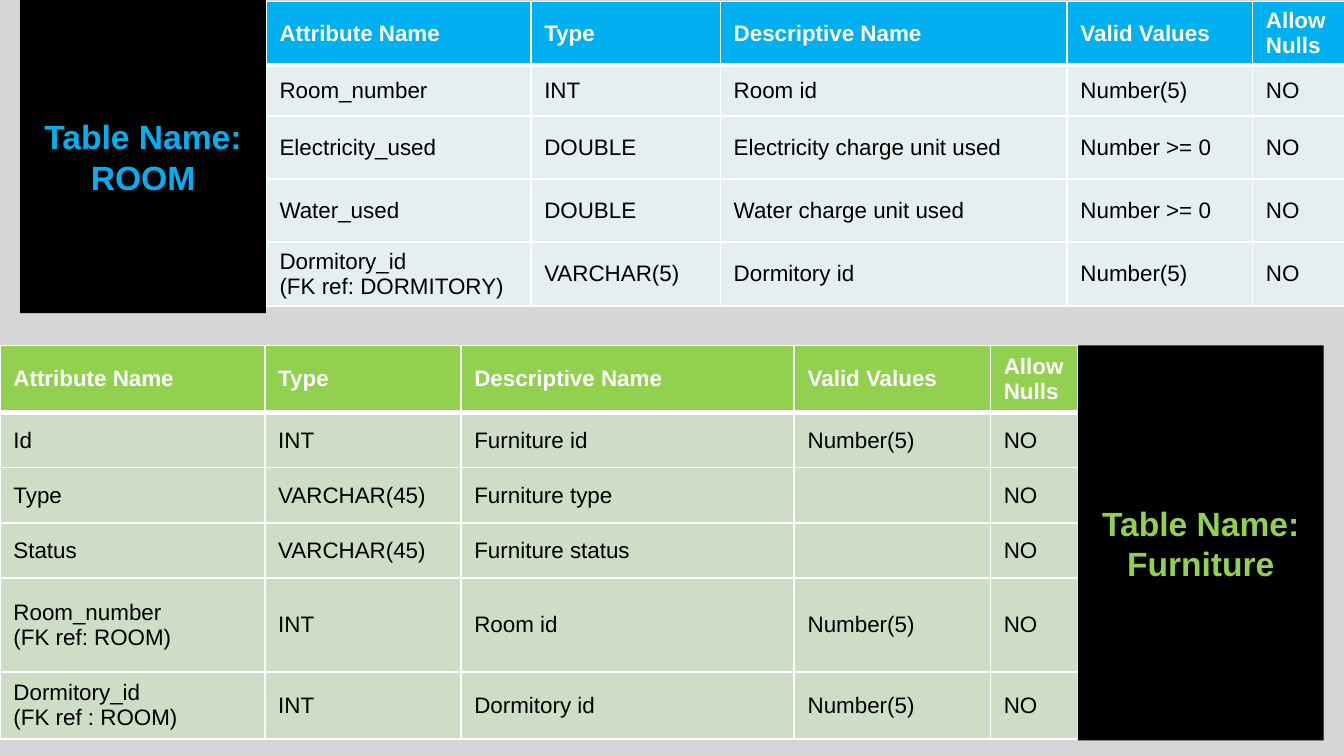
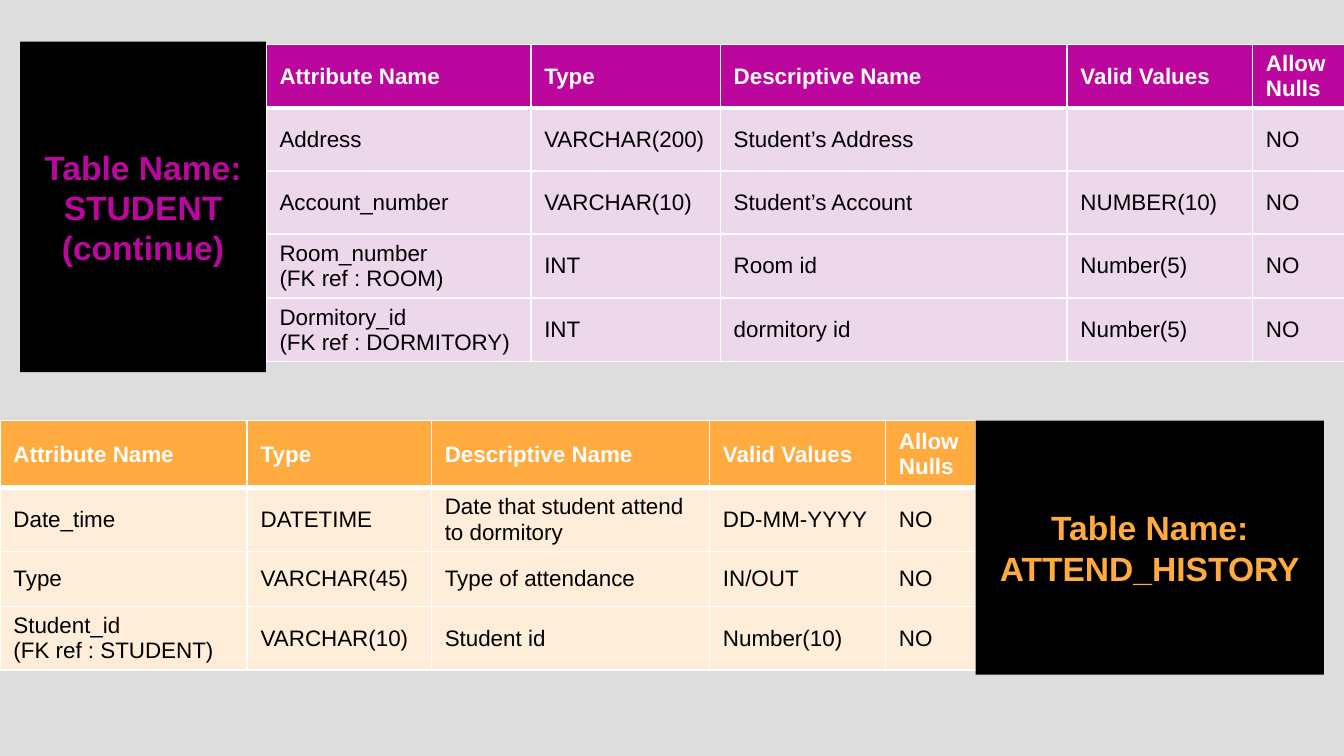
import pptx
import pptx.dml.color
import pptx.enum.shapes
import pptx.enum.text
import pptx.oxml
import pptx.oxml.ns
import pptx.util
from dataclasses import dataclass
from pptx.dml.color import RGBColor
from pptx.util import Inches

FONT = "Arial"
BLACK = RGBColor(0x00, 0x00, 0x00)
WHITE = RGBColor(0xFF, 0xFF, 0xFF)
GRAY = RGBColor(0xD6, 0xD6, 0xD6)
LIGHT_GRAY = RGBColor(0xDD, 0xDD, 0xDD)
BLUE = RGBColor(0x00, 0xB0, 0xF0)
PALE_BLUE = RGBColor(0xE6, 0xEF, 0xF0)
GREEN = RGBColor(0x92, 0xD0, 0x50)
PALE_GREEN = RGBColor(0xC3, 0xE8, 0xAD)
PURPLE = RGBColor(0xBC, 0x07, 0x9F)
PALE_PURPLE = RGBColor(0xFE, 0xD3, 0xF8)
ORANGE = RGBColor(0xFF, 0xAB, 0x40)
PALE_ORANGE = RGBColor(0xFE, 0xED, 0xD8)

HEADINGS = ("Attribute Name", "Type", "Descriptive Name", "Valid Values", "Allow Nulls")
LEFT_LABEL_COLUMNS = (1.97, 1.41, 2.58, 1.38, 0.69)
NULLS = "NO"  # every attribute is mandatory


@dataclass
class Entity:
    """One database table: its label text, colours, measures and attributes."""
    label: str
    accent: RGBColor
    tint: RGBColor
    columns: tuple
    heights: tuple
    attributes: tuple
    opacity: int = 100


ROOM = Entity(
    "Table Name: ROOM", BLUE, PALE_BLUE, LEFT_LABEL_COLUMNS,
    (0.47, 0.38, 0.47, 0.47, 0.47),
    (("Room_number", "INT", "Room id", "Number(5)"),
     ("Electricity_used", "DOUBLE", "Electricity charge unit used", "Number >= 0"),
     ("Water_used", "DOUBLE", "Water charge unit used", "Number >= 0"),
     ("Dormitory_id\n(FK ref: DORMITORY)", "VARCHAR(5)", "Dormitory id", "Number(5)")))

FURNITURE = Entity(
    "Table Name: Furniture", GREEN, PALE_GREEN, (1.97, 1.46, 2.48, 1.46, 0.65),
    (0.5, 0.41, 0.41, 0.41, 0.7, 0.5),
    (("Id", "INT", "Furniture id", "Number(5)"),
     ("Type", "VARCHAR(45)", "Furniture type", ""),
     ("Status", "VARCHAR(45)", "Furniture status", ""),
     ("Room_number\n(FK ref: ROOM)", "INT", "Room id", "Number(5)"),
     ("Dormitory_id\n(FK ref : ROOM)", "INT", "Dormitory id", "Number(5)")),
    opacity=40)

STUDENT = Entity(
    "Table Name: STUDENT\n(continue)", PURPLE, PALE_PURPLE, LEFT_LABEL_COLUMNS,
    (0.47,) * 5,
    (("Address", "VARCHAR(200)", "Student’s Address", ""),
     ("Account_number", "VARCHAR(10)", "Student’s Account", "NUMBER(10)"),
     ("Room_number\n(FK ref : ROOM)", "INT", "Room id", "Number(5)"),
     ("Dormitory_id\n(FK ref : DORMITORY)", "INT", "dormitory id", "Number(5)")),
    opacity=50)

ATTEND_HISTORY = Entity(
    "Table Name: ATTEND_HISTORY", ORANGE, PALE_ORANGE, (1.84, 1.37, 2.07, 1.31, 0.67),
    (0.5, 0.41, 0.41, 0.41),
    (("Date_time", "DATETIME", "Date that student attend to dormitory", "DD-MM-YYYY"),
     ("Type", "VARCHAR(45)", "Type of attendance", "IN/OUT"),
     ("Student_id\n(FK ref : STUDENT)", "VARCHAR(10)", "Student id", "Number(10)")))


def write_text(text_frame, text, size, color, bold, alignment):
    text_frame.text = text
    for paragraph in text_frame.paragraphs:
        paragraph.alignment = alignment
        for run in paragraph.runs:
            run.font.name = FONT
            run.font.size = pptx.util.Pt(size)
            run.font.color.rgb = color
            run.font.bold = bold


def set_borders(cell, top, bottom):
    """Draw white cell edges; top and bottom widths are in points."""
    properties = cell._tc.get_or_add_tcPr()
    for index, (side, width) in enumerate(zip("LRTB", (1, 1, top, bottom))):
        properties.insert(index, pptx.oxml.parse_xml(
            f'<a:ln{side} {pptx.oxml.ns.nsdecls("a")} w="{pptx.util.Pt(width)}">'
            f'<a:solidFill><a:srgbClr val="{WHITE}"/></a:solidFill></a:ln{side}>'))


def fill_cell(cell, color, opacity):
    cell.fill.solid()
    cell.fill.fore_color.rgb = color
    if opacity < 100:
        fill_color = cell._tc.tcPr.find(
            f'{pptx.oxml.ns.qn("a:solidFill")}/{pptx.oxml.ns.qn("a:srgbClr")}')
        fill_color.append(pptx.oxml.parse_xml(
            f'<a:alpha {pptx.oxml.ns.nsdecls("a")} val="{opacity * 1000}"/>'))


def add_attribute_table(slide, entity, left, top):
    rows = [HEADINGS] + [attribute + (NULLS,) for attribute in entity.attributes]
    table = slide.shapes.add_table(
        len(rows), len(HEADINGS), Inches(left), Inches(top),
        Inches(sum(entity.columns)), Inches(sum(entity.heights))).table
    table.horz_banding = False
    for column, width in zip(table.columns, entity.columns):
        column.width = Inches(width)
    for row_index, (texts, height) in enumerate(zip(rows, entity.heights)):
        table.rows[row_index].height = Inches(height)
        header = row_index == 0
        for cell, text in zip(table.rows[row_index].cells, texts):
            cell.vertical_anchor = pptx.enum.text.MSO_ANCHOR.MIDDLE
            write_text(cell.text_frame, text, 12, WHITE if header else BLACK,
                       header, pptx.enum.text.PP_ALIGN.LEFT)
            fill_cell(cell, entity.accent if header else entity.tint,
                      100 if header else entity.opacity)
            set_borders(cell, top=3 if row_index == 1 else 1, bottom=3 if header else 1)


def add_name_label(slide, entity, left, top, width, height):
    label = slide.shapes.add_shape(
        pptx.enum.shapes.MSO_SHAPE.RECTANGLE,
        Inches(left), Inches(top), Inches(width), Inches(height))
    label.shadow.inherit = False
    label.fill.solid()
    label.fill.fore_color.rgb = BLACK
    label.line.fill.background()
    label.text_frame.word_wrap = True
    label.text_frame.vertical_anchor = pptx.enum.text.MSO_ANCHOR.MIDDLE
    write_text(label.text_frame, entity.label, 18, entity.accent, True,
               pptx.enum.text.PP_ALIGN.CENTER)


def add_label_left_band(slide, entity, top, height, table_offset):
    left, width = 0.15, 1.83
    add_attribute_table(slide, entity, left + width, top + table_offset)
    add_name_label(slide, entity, left, top, width, height)


def add_label_right_band(slide, entity, top, height):
    left, right = sum(entity.columns), 9.85
    add_attribute_table(slide, entity, 0, top)
    add_name_label(slide, entity, left, top, right - left, height)


def add_slide(presentation, background):
    slide = presentation.slides.add_slide(presentation.slide_layouts[6])
    slide.background.fill.solid()
    slide.background.fill.fore_color.rgb = background
    return slide


def main():
    presentation = pptx.Presentation()
    presentation.slide_width = Inches(10)
    presentation.slide_height = Inches(10 * 9 / 16)

    slide = add_slide(presentation, GRAY)
    add_label_left_band(slide, ROOM, top=0, height=2.33, table_offset=0.01)
    add_label_right_band(slide, FURNITURE, top=2.57, height=2.94)

    slide = add_slide(presentation, LIGHT_GRAY)
    add_label_left_band(slide, STUDENT, top=0.31, height=2.46, table_offset=0.02)
    add_label_right_band(slide, ATTEND_HISTORY, top=3.13, height=1.89)

    presentation.save("out.pptx")


if __name__ == "__main__":
    main()
